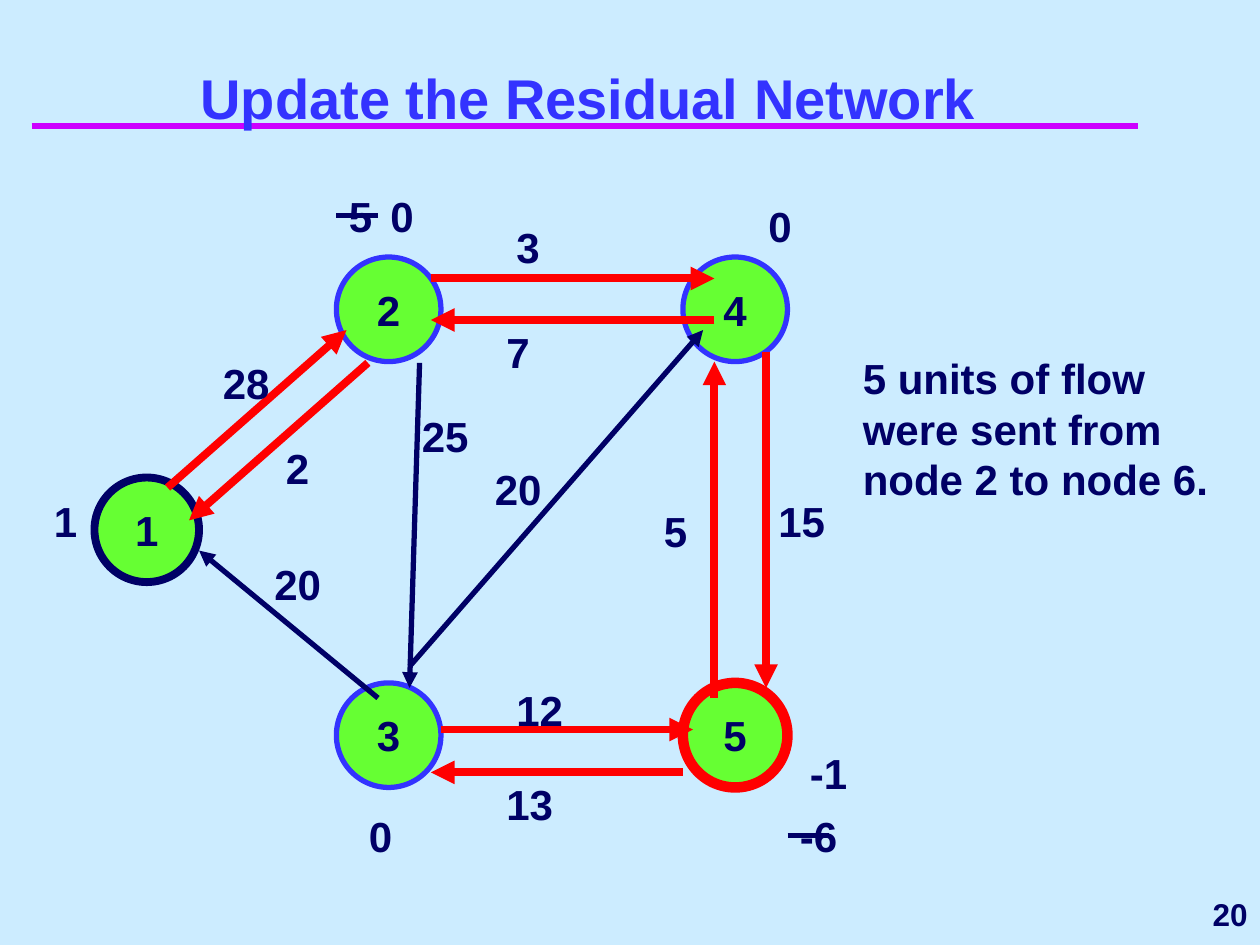
"""Build the residual network slide."""
from lxml import etree
from pptx import Presentation
from pptx.dml.color import RGBColor
from pptx.enum.shapes import MSO_CONNECTOR, MSO_SHAPE
from pptx.enum.text import MSO_ANCHOR, PP_ALIGN
from pptx.oxml.ns import qn
from pptx.util import Inches, Pt

LINE, OVAL = MSO_CONNECTOR.STRAIGHT, MSO_SHAPE.OVAL
TOP, MID, LOW = MSO_ANCHOR.TOP, MSO_ANCHOR.MIDDLE, MSO_ANCHOR.BOTTOM
LEFT, MIDST, RIGHT = PP_ALIGN.LEFT, PP_ALIGN.CENTER, PP_ALIGN.RIGHT
NAVY, BLUE, RED = "000066", "3333FF", "FF0000"
GREEN, PINK, SKY = "66FF33", "CC00FF", "CCECFF"
SIZE = 0.83

NODES = [
    ("1", 0.75, 3.79, NAVY, 4.5),
    ("2", 2.67, 2.04, BLUE, 3),
    ("3", 2.67, 5.42, BLUE, 3),
    ("5", 5.42, 5.42, RED, 6),
    ("4", 5.42, 2.04, BLUE, 3),
]
FLOWS = [
    (1.33, 3.87, 2.75, 2.62),
    (2.92, 2.88, 1.5, 4.13),
    (3.42, 2.21, 5.67, 2.21),
    (5.67, 2.54, 3.42, 2.54),
    (6.08, 2.79, 6.08, 5.46),
    (5.67, 5.54, 5.67, 2.87),
    (3.5, 5.79, 5.5, 5.79),
    (5.42, 6.13, 3.42, 6.13),
]
ARCS = [
    (3.25, 5.29, 5.58, 2.62),
    (3.33, 2.88, 3.25, 5.46),
    (3, 5.54, 1.58, 4.37),
]
STRIKES = [(2.67, 1.71, 3, 1.71), (6.25, 6.63, 6.58, 6.63)]
COSTS = [
    ("3", 4, 1.71), ("7", 3.92, 2.54), ("15", 6.08, 3.88), ("5", 5.17, 3.96),
    ("20", 3.83, 3.63), ("12", 4, 5.38), ("13", 3.92, 6.13),
    ("25", 3.25, 3.21), ("28", 1.67, 2.79), ("2", 2.17, 3.46),
    ("20", 2.08, 4.38),
]
LOADS = [
    ("5", 2.67, 1.46), ("0", 3, 1.46), ("0", 6, 1.54), ("1", 0.33, 3.88),
    ("0", 2.83, 6.38), ("-6", 6.25, 6.38), ("-1", 6.33, 5.88),
]
TITLE = "Update the Residual Network"
NOTE = "5 units of flow were sent from node 2 to node 6."


def color(code):
    return RGBColor.from_string(code)


def write(shape, text, size=24, ink=NAVY, align=LEFT, anchor=TOP, wrap=True):
    frame = shape.text_frame
    frame.word_wrap = wrap
    frame.vertical_anchor = anchor
    para = frame.paragraphs[0]
    para.alignment = align
    run = para.add_run()
    run.text = text
    font = run.font
    font.name, font.size, font.bold = "Arial", Pt(size), True
    font.color.rgb = color(ink)


def label(slide, text, x, y, wide, high=0.5, **style):
    box = slide.shapes.add_textbox(*map(Inches, (x, y, wide, high)))
    write(box, text, **style)


def node(slide, text, x, y, edge, width):
    disc = slide.shapes.add_shape(OVAL, *map(Inches, (x, y, SIZE, SIZE)))
    disc.shadow.inherit = False
    disc.fill.solid()
    disc.fill.fore_color.rgb = color(GREEN)
    disc.line.color.rgb = color(edge)
    disc.line.width = Pt(width)
    write(disc, text, align=MIDST, anchor=MID, wrap=False)


def link(slide, ends, ink, width, arrow=False):
    line = slide.shapes.add_connector(LINE, *map(Inches, ends))
    line.line.color.rgb = color(ink)
    line.line.width = Pt(width)
    if arrow:
        tail = etree.SubElement(line.line._get_or_add_ln(), qn("a:tailEnd"))
        tail.set("type", "triangle")
    etree.SubElement(line._element.spPr, qn("a:effectLst"))


def main():
    deck = Presentation()
    deck.slide_width, deck.slide_height = Inches(10), Inches(7.5)
    slide = deck.slides.add_slide(deck.slide_layouts[6])
    slide.background.fill.solid()
    slide.background.fill.fore_color.rgb = color(SKY)

    link(slide, (0.25, 1, 9.03, 1), PINK, 4)
    label(slide, "20", 8.08, 7, 1.92, size=18, align=RIGHT, anchor=MID)
    label(slide, TITLE, 0.42, 0.67, 8.5, 0.42,
          size=32, ink=BLUE, align=MIDST, anchor=LOW)
    for item in NODES:
        node(slide, *item)
    for ends in FLOWS:
        link(slide, ends, RED, 4.5, True)
    for ends in ARCS:
        link(slide, ends, NAVY, 3, True)
    for item in COSTS:
        label(slide, *item, 1.17)
    for item in LOADS:
        label(slide, *item, 0.75)
    for ends in STRIKES:
        link(slide, ends, NAVY, 3)
    label(slide, NOTE, 6.75, 2.75, 3, 1.3)
    deck.save("out.pptx")


if __name__ == "__main__":
    main()
